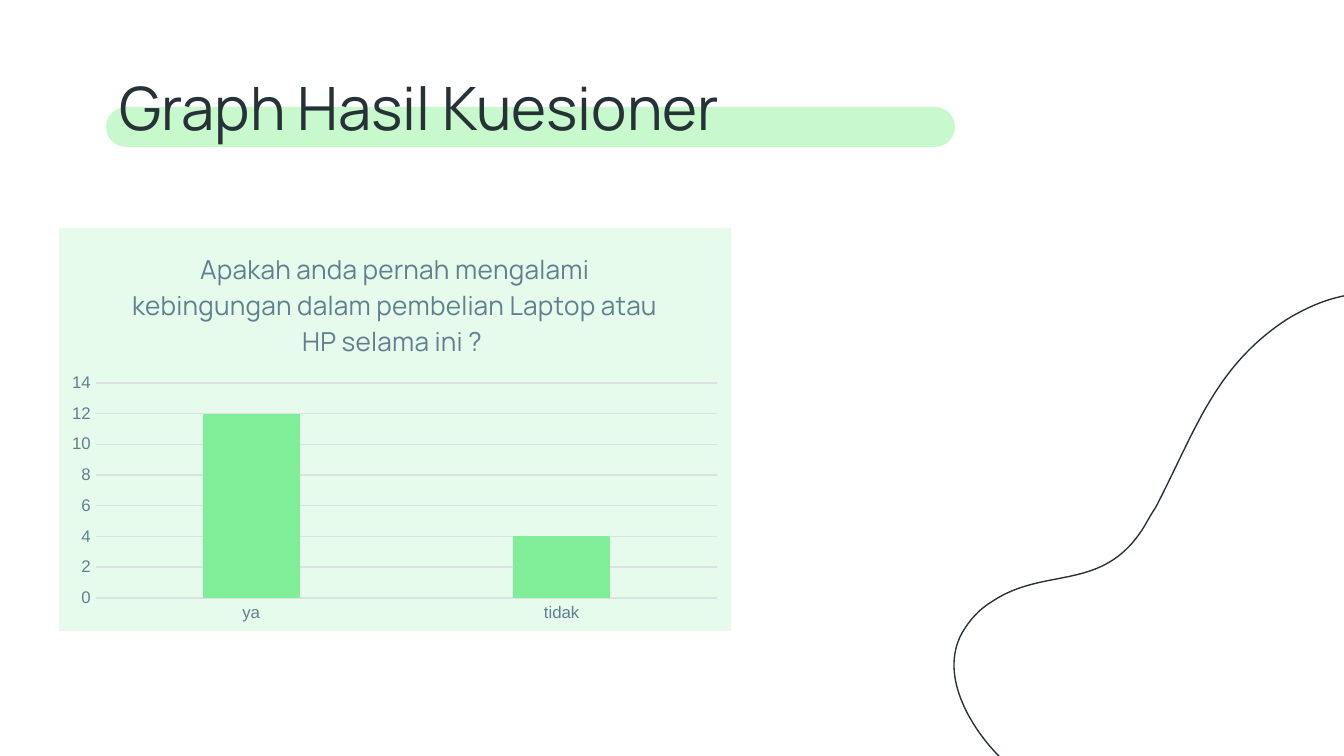
import math

import pptx
import pptx.chart.data
import pptx.dml.color
import pptx.enum.chart
import pptx.enum.shapes
import pptx.enum.text
import pptx.oxml
import pptx.oxml.ns
import pptx.util

COLORS = {
    "ink": "263238",
    "highlight": "C7F9CC",
    "panel": "E6FBEB",
    "bar": "80ED99",
    "label": "617F8F",
    "grid": "DAE2E6",
}
PX = 914400 / 134.4

# Each curve: first control, second control, end point
BLOB_START = (962, 633)
BLOB_CURVES = [
    ((969, 621), (978, 610), (993, 601)),
    ((1046, 566), (1103, 593), (1144, 527)),
    ((1148, 520), (1152, 513), (1156, 507)),
    ((1173, 474), (1187, 442), (1203, 413)),
    ((1222, 379), (1245, 347), (1286, 320)),
    ((1357, 276), (1415, 290), (1469, 336)),
    ((1562, 414), (1560, 531), (1504, 633)),
    ((1480, 677), (1446, 719), (1404, 754)),
    ((1273, 866), (1113, 863), (1005, 762)),
    ((973, 732), (938, 677), BLOB_START),
]


def emu(px):
    return pptx.util.Emu(round(px * PX))


def rgb(name):
    return pptx.dml.color.RGBColor.from_string(COLORS[name])


def turn_back(point, frame, degrees):
    """Page point in px to EMU inside the frame before its rotation."""
    x, y, w, h = frame
    dx, dy = point[0] - x - w / 2, point[1] - y - h / 2
    cos, sin = math.cos(math.radians(degrees)), math.sin(math.radians(degrees))
    return emu(w / 2 + dx * cos + dy * sin), emu(h / 2 - dx * sin + dy * cos)


class SlideBuilder:
    def __init__(self, slide):
        self.slide = slide
        self.heading_font = "Manrope"
        self.label_font = "Arial"

    def style_font(self, font, name, size, color):
        font.name = name
        font.size = pptx.util.Pt(size)
        font.bold = False
        font.color.rgb = rgb(color)

    def style_line(self, line, color):
        line.color.rgb = rgb(color)
        line.width = pptx.util.Pt(0.75)

    def pill(self, x, y, w, h, color):
        pill = self.slide.shapes.add_shape(
            pptx.enum.shapes.MSO_SHAPE.ROUNDED_RECTANGLE, *map(emu, (x, y, w, h)))
        pill.adjustments[0] = 0.5
        pill.shadow.inherit = False
        pill.fill.solid()
        pill.fill.fore_color.rgb = rgb(color)
        pill.line.fill.background()

    def curved_outline(self, start, curves, frame, degrees, color):
        """Build the outline through the end points, then bend each segment."""
        qn = pptx.oxml.ns.qn
        start = turn_back(start, frame, degrees)
        curves = [[turn_back(point, frame, degrees) for point in curve] for curve in curves]
        builder = self.slide.shapes.build_freeform(*start)
        builder.add_line_segments([curve[-1] for curve in curves], close=True)
        blob = builder.convert_to_shape()
        blob.left, blob.top, blob.width, blob.height = map(emu, frame)
        blob.rotation = degrees
        blob.shadow.inherit = False
        blob.fill.background()
        self.style_line(blob.line, color)

        outline = next(blob.element.iter(qn("a:path")))
        outline.set("w", str(blob.width))
        outline.set("h", str(blob.height))
        first = outline.find(qn("a:moveTo")).find(qn("a:pt"))
        first.set("x", str(start[0]))
        first.set("y", str(start[1]))
        segments = outline.findall(qn("a:lnTo"))
        for segment in segments[len(curves):]:
            outline.remove(segment)
        for segment, curve in zip(segments, curves):
            points = "".join(f'<a:pt x="{x}" y="{y}"/>' for x, y in curve)
            outline.replace(segment, pptx.oxml.parse_xml(
                f'<a:cubicBezTo {pptx.oxml.ns.nsdecls("a")}>{points}</a:cubicBezTo>'))

    def title(self, text, x, y, w, h):
        heading = self.slide.shapes.title
        heading.left, heading.top, heading.width, heading.height = map(emu, (x, y, w, h))
        frame = heading.text_frame
        frame.text = text
        frame.word_wrap = True
        frame.auto_size = pptx.enum.text.MSO_AUTO_SIZE.NONE
        frame.vertical_anchor = pptx.enum.text.MSO_ANCHOR.TOP
        frame.margin_left = frame.margin_right = emu(13)
        frame.margin_top = frame.margin_bottom = emu(14)
        paragraph = frame.paragraphs[0]
        paragraph.alignment = pptx.enum.text.PP_ALIGN.LEFT
        paragraph.line_spacing = 1.0
        self.style_font(paragraph.runs[0].font, self.heading_font, 32, "ink")
        # The heading is drawn over everything added before it
        self.slide.shapes.element.append(heading.element)

    def column_chart(self, question, answers, x, y, w, h, plot):
        """Draw the chart; plot is its inner area in px, inside the chart."""
        data = pptx.chart.data.CategoryChartData()
        data.categories = list(answers)
        data.add_series("Series 1", list(answers.values()))
        chart = self.slide.shapes.add_chart(
            pptx.enum.chart.XL_CHART_TYPE.COLUMN_CLUSTERED,
            *map(emu, (x, y, w, h)), data).chart
        chart.has_legend = False
        self.style_font(chart.font, self.label_font, 10, "ink")

        chart.has_title = True
        chart.chart_title.include_in_layout = False
        heading = chart.chart_title.text_frame
        heading.text = question
        self.style_font(heading.paragraphs[0].runs[0].font, self.heading_font, 14, "label")

        columns = chart.plots[0]
        columns.gap_width = 219
        columns.overlap = -27
        columns.vary_by_categories = False
        columns.series[0].format.fill.solid()
        columns.series[0].format.fill.fore_color.rgb = rgb("bar")

        for axis in (chart.category_axis, chart.value_axis):
            axis.major_tick_mark = pptx.enum.chart.XL_TICK_MARK.NONE
            axis.minor_tick_mark = pptx.enum.chart.XL_TICK_MARK.NONE
            self.style_font(axis.tick_labels.font, self.label_font, 9, "label")
        self.style_line(chart.category_axis.format.line, "grid")
        chart.value_axis.format.line.fill.background()
        chart.value_axis.minimum_scale = 0
        chart.value_axis.maximum_scale = 14
        chart.value_axis.major_unit = 2
        self.style_line(chart.value_axis.major_gridlines.format.line, "grid")
        self.fill_chart(chart, "panel")
        self.place_plot(chart, [part / whole for part, whole in zip(plot, (w, h, w, h))])

    def fill_chart(self, chart, color):
        qn = pptx.oxml.ns.qn
        area = pptx.oxml.parse_xml(
            f'<c:spPr {pptx.oxml.ns.nsdecls("c", "a")}><a:solidFill>'
            f'<a:srgbClr val="{COLORS[color]}"/></a:solidFill>'
            '<a:ln><a:noFill/></a:ln></c:spPr>')
        chart.element.find(qn("c:chart")).addnext(area)

    def place_plot(self, chart, fractions):
        """Fix the inner plot area, given as fractions x, y, w, h."""
        qn = pptx.oxml.ns.qn
        area = chart.element.find(qn("c:chart")).find(qn("c:plotArea"))
        for automatic in area.findall(qn("c:layout")):
            area.remove(automatic)
        sizes = "".join(f'<c:{key} val="{value}"/>' for key, value in zip("xywh", fractions))
        area.insert(0, pptx.oxml.parse_xml(
            f'<c:layout {pptx.oxml.ns.nsdecls("c")}><c:manualLayout>'
            '<c:layoutTarget val="inner"/><c:xMode val="edge"/><c:yMode val="edge"/>'
            f'{sizes}</c:manualLayout></c:layout>'))


def main():
    deck = pptx.Presentation()
    deck.slide_width, deck.slide_height = emu(1344), emu(756)
    title_only = deck.slide_layouts[5]
    builder = SlideBuilder(deck.slides.add_slide(title_only))

    builder.pill(106, 107, 849, 40, "highlight")
    builder.curved_outline(BLOB_START, BLOB_CURVES, (941, 339, 648, 476), 298.7, "ink")
    builder.title("Graph Hasil Kuesioner", 106, 57, 1133, 90)
    builder.column_chart(
        "Apakah anda pernah mengalami kebingungan dalam pembelian Laptop atau HP selama ini ? ",
        {"ya": 12, "tidak": 4},
        59, 228, 672, 403, plot=(37, 155, 621, 215))

    deck.save("out.pptx")


if __name__ == "__main__":
    main()
